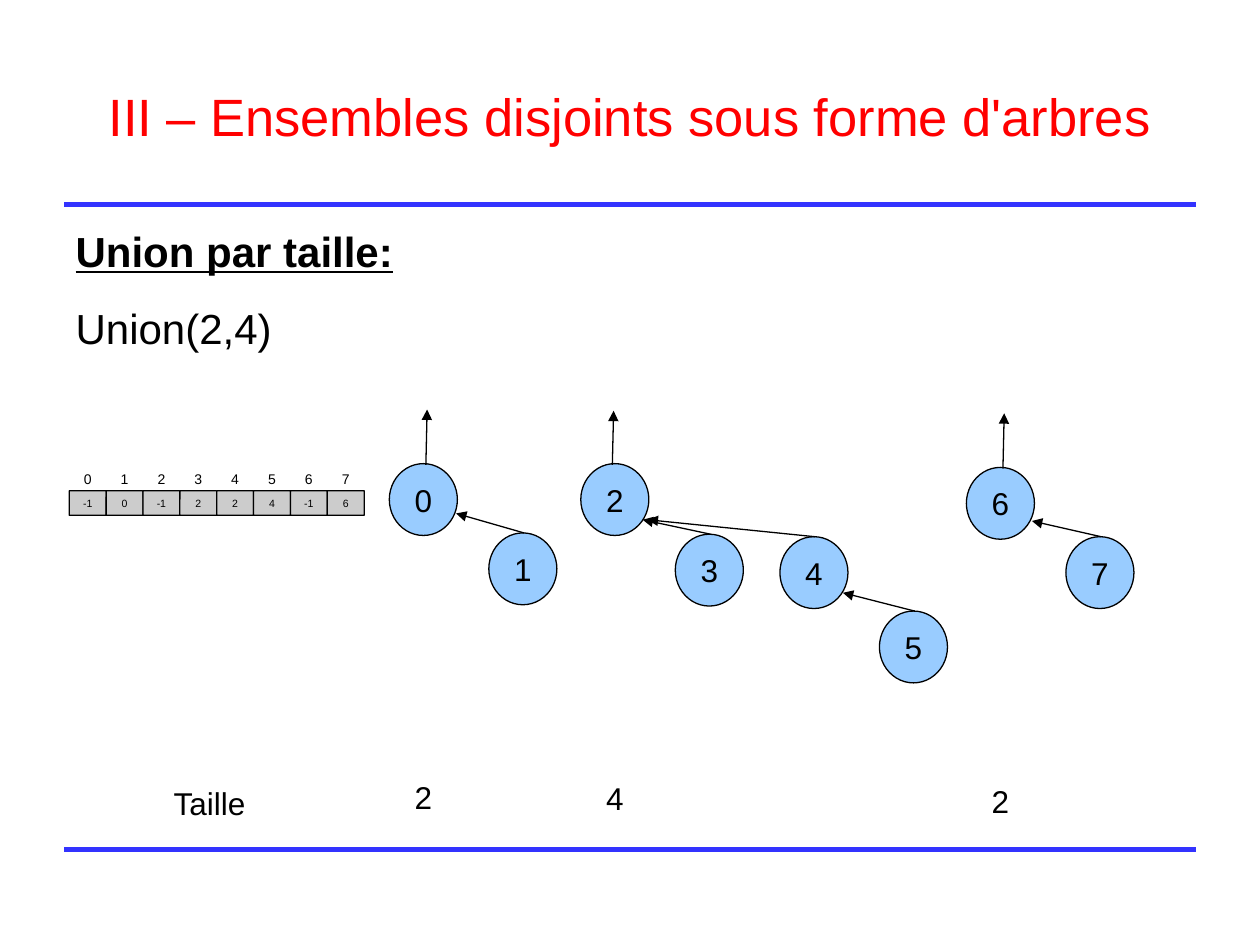
from collections import namedtuple

from lxml import etree
from pptx import Presentation
from pptx import util as u
from pptx.dml.color import RGBColor
from pptx.enum import shapes, text
from pptx.oxml.ns import qn

# The slide is a grid of 100 columns and 75 rows
WIDTH, HEIGHT = u.Inches(10), u.Inches(7.5)
COL, ROW = WIDTH / 100, HEIGHT / 75
Box = namedtuple("Box", "x y w h")

BLACK, WHITE, RED = "000000", "FFFFFF", "FF0000"
RULE_BLUE, NODE_BLUE, CELL_GREY = "3333FF", "99CCFF", "CCCCCC"
NODE_W, NODE_H = 5.4, 5.7

PARENTS = [-1, 0, -1, 2, 2, 4, -1, 6]
# Node: left and top in the forest, then arrow tip from the parent's centre
NODES = [
    (0, 4.3, None), (7.9, 9.8, (2.6, 1.1)),
    (15.2, 4.3, None), (22.7, 9.9, (2.2, 1.6)),
    (31, 10.1, (2.6, 1.6)), (38.9, 16, (2.3, 1.6)),
    (45.8, 4.6, None), (53.7, 10.1, (2.5, 1.4)),
]
# Root: x and y of its arrow tip, and the size of its tree with the label top
ROOTS = {0: (3, 0, "2", 0), 2: (2.6, 0.1, "4", 0.1), 6: (3, 0.3, "2", 0.3)}


def colour(value):
    return RGBColor.from_string(value)


def apply(target, formats):
    for name, value in formats.items():
        setattr(target, name, value)


def emu(box):
    return [round(v) for v in (box.x * COL, box.y * ROW, box.w * COL, box.h * ROW)]


def place(shape, box):
    apply(shape, dict(zip(("left", "top", "width", "height"), emu(box))))


def format_frame(frame, anchor=text.MSO_ANCHOR.MIDDLE, top=0.05):
    apply(frame, {
        "word_wrap": True, "auto_size": text.MSO_AUTO_SIZE.NONE,
        "vertical_anchor": anchor,
        "margin_left": u.Inches(0.1), "margin_right": u.Inches(0.1),
        "margin_top": u.Inches(top), "margin_bottom": u.Inches(0.05),
    })


def write(paragraph, words, size, hue=BLACK, align=text.PP_ALIGN.CENTER,
          spacing=1.0, before=0, bold=False, underline=False):
    paragraph.text = words
    apply(paragraph, {"alignment": align, "line_spacing": spacing,
                      "space_before": u.Pt(before)})
    font = paragraph.runs[0].font
    apply(font, {"name": "Arial", "size": u.Pt(size), "bold": bold,
                 "underline": underline})
    font.color.rgb = colour(hue)


def add_label(slide, kind, box, words, size, fill, outlined=False):
    shape = slide.shapes.add_shape(kind, *emu(box))
    shape.shadow.inherit = False
    shape.fill.solid()
    shape.fill.fore_color.rgb = colour(fill)
    if outlined:
        shape.line.color.rgb = colour(BLACK)
        shape.line.width = u.Pt(0.75)
    else:
        shape.line.fill.background()
    if kind == shapes.MSO_SHAPE.ROUNDED_RECTANGLE:
        shape.adjustments[0] = 0.01
    format_frame(shape.text_frame)
    shape.text_frame.word_wrap = False
    write(shape.text_frame.paragraphs[0], words, size)


def add_line(slide, start, end, hue=BLACK, width=0.75, arrow=False):
    line = slide.shapes.add_connector(
        shapes.MSO_CONNECTOR.STRAIGHT, round(start[0] * COL), round(start[1] * ROW),
        round(end[0] * COL), round(end[1] * ROW))
    line.line.color.rgb = colour(hue)
    line.line.width = u.Pt(width)
    if arrow:
        etree.SubElement(line.line._get_or_add_ln(), qn("a:headEnd"), type="triangle")
    etree.SubElement(line._element.spPr, qn("a:effectLst"))


def add_rules(slide, box):
    for y in (box.y, box.y + box.h):
        add_line(slide, (box.x, y), (box.x + box.w, y), RULE_BLUE, 3)


def add_title(slide, box):
    title = slide.shapes.title
    place(title, box)
    format_frame(title.text_frame, top=0.08)
    write(title.text_frame.paragraphs[0],
          "III – Ensembles disjoints sous forme d'arbres", 30, RED, spacing=0.93)


def add_body(slide, box):
    body = slide.placeholders[1]
    place(body, box)
    frame = body.text_frame
    format_frame(frame, text.MSO_ANCHOR.TOP, 0.13)
    heading, operation = frame.paragraphs[0], frame.add_paragraph()
    plain = {"size": 24, "align": text.PP_ALIGN.LEFT, "spacing": 0.75}
    write(heading, "Union par taille:", bold=True, underline=True, **plain)
    write(operation, "Union(2,4)", before=22.5, **plain)
    for paragraph in (heading, operation):
        properties = paragraph._p.get_or_add_pPr()
        properties.set("marL", "0")
        properties.set("indent", "0")
        etree.SubElement(properties, qn("a:buNone"))


def add_forest(slide, box):
    corners = [(box.x + x, box.y + y) for x, y, _ in NODES]
    for i, (x, y) in enumerate(corners):
        add_label(slide, shapes.MSO_SHAPE.OVAL, Box(x, y, NODE_W, NODE_H),
                  str(i), 18, NODE_BLUE, outlined=True)
        if i in ROOTS:
            tip_x, tip_y = ROOTS[i][:2]
            tip = (x + tip_x, box.y + tip_y)
            foot = (tip[0] - 0.1, y + 0.1)
        else:
            parent_x, parent_y = corners[PARENTS[i]]
            dx, dy = NODES[i][2]
            tip = (parent_x + NODE_W / 2 + dx, parent_y + NODE_H / 2 + dy)
            foot = (x + NODE_W / 2 + 0.1, y)
        add_line(slide, tip, foot, arrow=True)


def add_parent_array(slide, box):
    step, row = box.w / len(PARENTS), box.h / 2
    for i, parent in enumerate(PARENTS):
        index = Box(box.x + i * step, box.y, step, row)
        kind = shapes.MSO_SHAPE.ROUNDED_RECTANGLE
        add_label(slide, kind, index, str(i), 8, WHITE)
        add_label(slide, kind, index._replace(y=box.y + row), str(parent), 6,
                  CELL_GREY, outlined=True)


def add_sizes(slide, box):
    for root, (_, _, size, drop) in ROOTS.items():
        label = Box(box.x + NODES[root][0], box.y + drop, NODE_W, NODE_H)
        add_label(slide, shapes.MSO_SHAPE.OVAL, label, size, 18, WHITE)


def add_size_caption(slide, box):
    caption = slide.shapes.add_textbox(*emu(box))
    format_frame(caption.text_frame, text.MSO_ANCHOR.TOP)
    write(caption.text_frame.paragraphs[0], "Taille", 18, align=text.PP_ALIGN.LEFT)


def main():
    deck = Presentation()
    apply(deck, {"slide_width": WIDTH, "slide_height": HEIGHT})
    slide = deck.slides.add_slide(deck.slide_layouts[1])
    add_rules(slide, Box(5.1, 16.25, 89.8, 51.15))
    add_title(slide, Box(5, 3, 90, 12.5))
    add_body(slide, Box(5, 17.5, 92.7, 21.9))
    add_forest(slide, Box(30.9, 32.5, 59.1, 21.7))
    add_parent_array(slide, Box(5.5, 37, 23.4, 3.9))
    add_sizes(slide, Box(30.9, 60.4, 59.1, 6))
    add_size_caption(slide, Box(12.8, 61.7, 16.5, 4))
    deck.save("out.pptx")


if __name__ == "__main__":
    main()
